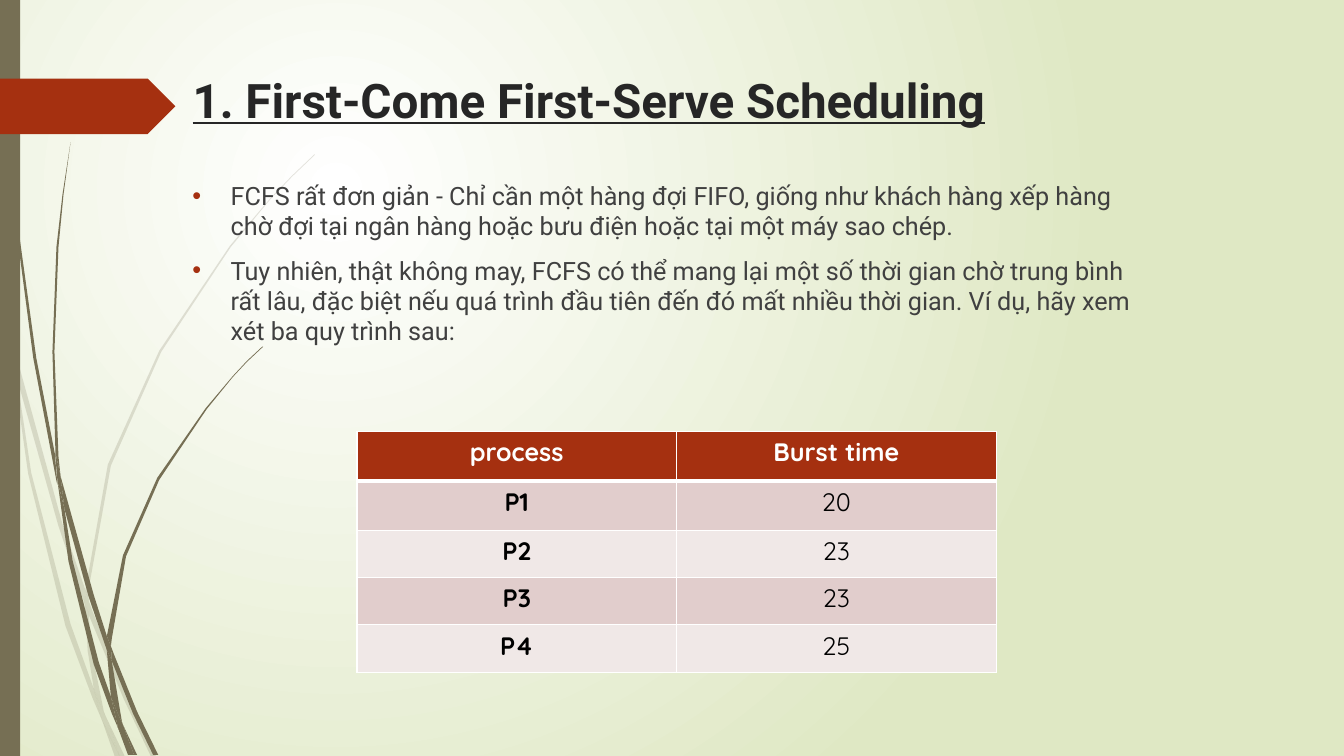
from lxml.etree import SubElement
from pptx import Presentation
from pptx.dml.color import RGBColor
from pptx.enum.shapes import MSO_SHAPE as SHAPE
from pptx.enum.text import MSO_ANCHOR as ANCHOR, MSO_AUTO_SIZE as AUTO, PP_ALIGN as ALIGN
from pptx.oxml import parse_xml
from pptx.oxml.ns import nsdecls, qn
from pptx.util import Inches, Pt

RED, OLIVE, WHITE = "A53010", "766F54", "FFFFFF"


def paint(fill, color, opacity=100):
    fill.solid()
    fill.fore_color.rgb = RGBColor.from_string(color)
    if opacity < 100:
        clr = fill._xPr.find(qn("a:solidFill"))[0]
        SubElement(clr, qn("a:alpha"), val=str(opacity * 1000))


def write(p, text, font="Roboto", size=18, color="404040", bold=False, underline=False, align=ALIGN.LEFT):
    p.alignment = align
    r = p.add_run()
    r.text = text
    f = r.font
    f.name, f.size, f.bold, f.underline = font, Pt(size), bold, underline
    paint(f.fill, color)


# Corner points of each blade, in hundredths of an inch
PALE_GRASS = [
    "11,350 9,322 0,282 0,299 10,344",
    "58,522 84,599 85,586 62,520 14,345 17,376",
    "92,607 88,596 88,610 123,694 150,751 155,751 127,692",
    "119,751 124,751 105,711",
    "93,683 70,619 31,469 17,376 11,350 28,470 65,621 92,693 101,714 99,707",
    "84,599 87,646 93,683 96,692 105,711 103,706 91,646 88,610 88,608",
    "88,584 110,462 160,349 229,245 268,198 290,175 312,154 312,153 289,175 268,197 228,244 "
    "158,348 107,461 85,584 85,586 88,596",
    "101,714 114,751 119,751",
    "88,608 88,610 88,596 85,586 84,599",
    "96,692 93,683 99,707 101,714 119,751 105,711",
]
DARK_GRASS = [
    "7,110 17,233 33,355 56,477 57,481 55,457 55,453 36,355 19,232 8,109 5,48 4,0 3,0 4,48",
    "88,592 106,645 106,633 106,631 93,590 60,472 64,505",
    "113,649 110,641 111,656 132,708 152,749 157,749 136,706",
    "110,691 98,657 72,556 64,505 57,477 68,557 93,659 111,708 117,722 116,717",
    "60,472 58,453 54,349 58,245 63,193 70,141 62,193 56,245 52,349 55,449",
    "133,749 136,749 122,719",
    "57,477 64,505 60,472 55,449 55,453",
    "111,633 125,552 158,476 205,406 231,374 245,359 261,344 260,344 245,358 231,373 204,405 "
    "156,474 122,551 106,631 110,641",
    "117,722 127,749 131,749",
    "106,645 110,691 116,706 122,719 121,716 111,656 109,651",
    "106,645 109,651 111,656 110,641 106,631 106,633",
    "116,706 110,691 116,717 117,722 130,749 133,749 122,719",
]

prs = Presentation()
prs.slide_width, prs.slide_height = Inches(13.33), Inches(7.5)
s = prs.slides.add_slide(prs.slide_layouts[5])

# Background glow
bg = s.background.fill
bg.gradient()
for stop, color, position in zip(bg.gradient_stops, (WHITE, "DFE8C4"), (0, 1)):
    stop.color.rgb = RGBColor.from_string(color)
    stop.position = position
grad = s.background._cSld.find(".//" + qn("a:gradFill"))
grad.replace(grad.find(qn("a:lin")), parse_xml(
    f'<a:path {nsdecls("a")} path="circle"><a:fillToRect l="50000" t="50000" r="100000" b="100000"/></a:path>'))

# Grass blades
for outlines, opacity in ((PALE_GRASS, 20), (DARK_GRASS, 100)):
    grass = s.shapes.add_group_shape()
    for outline in outlines:
        points = [[Inches(int(n) / 100) for n in pair.split(",")] for pair in outline.split()]
        builder = grass.shapes.build_freeform(*points[0])
        builder.add_line_segments(points[1:], close=True)
        blade = builder.convert_to_shape()
        blade.shadow.inherit = False
        blade.line.fill.background()
        paint(blade.fill, OLIVE, opacity)

# Side bar and title tag
for kind, top, width, height, color in ((SHAPE.RECTANGLE, 0, 0.2, 7.5, OLIVE),
                                        (SHAPE.PENTAGON, 0.78, 1.74, 0.55, RED)):
    sp = s.shapes.add_shape(kind, 0, Inches(top), Inches(width), Inches(height))
    sp.shadow.inherit = False
    sp.line.fill.background()
    paint(sp.fill, color)

# Title and bullets
left, width = Inches(1.81), Inches(9.75)
title = s.shapes.title
title.left, title.top, title.width, title.height = left, Inches(0.65), width, Inches(1.4)
s.shapes._spTree.append(title._element)
body = s.shapes.add_textbox(left, Inches(1.74), width, Inches(5.43))
for sp in (title, body):
    tf = sp.text_frame
    tf.word_wrap, tf.auto_size, tf.vertical_anchor = True, AUTO.NONE, ANCHOR.TOP
write(title.text_frame.paragraphs[0], "1. First-Come First-Serve Scheduling",
      size=34, color="262626", bold=True, underline=True)

bullets = [
    "FCFS rất đơn giản - Chỉ cần một hàng đợi FIFO, giống như khách hàng xếp hàng chờ đợi "
    "tại ngân hàng hoặc bưu điện hoặc tại một máy sao chép.",
    "Tuy nhiên, thật không may, FCFS có thể mang lại một số thời gian chờ trung bình rất lâu, "
    "đặc biệt nếu quá trình đầu tiên đến đó mất nhiều thời gian. Ví dụ, hãy xem xét ba quy trình sau:",
]
for i, text in enumerate(bullets):
    p = tf.add_paragraph() if i else tf.paragraphs[0]
    write(p, text)
    p.space_before = Pt(10)
    pPr = p._p.get_or_add_pPr()
    pPr.set("marL", str(Inches(0.38)))
    pPr.set("indent", str(-Inches(0.38)))
    SubElement(SubElement(pPr, qn("a:buClr")), qn("a:srgbClr"), val=RED)
    SubElement(pPr, qn("a:buFont"), typeface="Arial")
    SubElement(pPr, qn("a:buChar"), char="•")

# Burst time table
rows = [("process", "Burst time"), ("P1", "20"), ("P2", "23"), ("P3", "23"), ("P4", "25")]
table = s.shapes.add_table(len(rows), 2, Inches(3.54), Inches(4.28), Inches(6.34), Inches(2.39)).table
for r, row in enumerate(rows):
    table.rows[r].height = Inches(0.49 if r < 2 else 0.47)
    for c, text in enumerate(row):
        cell = table.cell(r, c)
        write(cell.text_frame.paragraphs[0], text, font="Quicksand", color="000000" if r else WHITE,
              bold=r == 0 or c == 0, align=ALIGN.CENTER)
        for side in "LRTB":
            thick = (r, side) in ((0, "B"), (1, "T"))
            ln = SubElement(cell._tc.get_or_add_tcPr(), qn("a:ln" + side), w=str(Pt(3 if thick else 1)))
            SubElement(SubElement(ln, qn("a:solidFill")), qn("a:srgbClr"), val=WHITE)
        paint(cell.fill, RED if r == 0 else "E1CDCC" if r % 2 else "F0E8E7")

prs.save("out.pptx")
